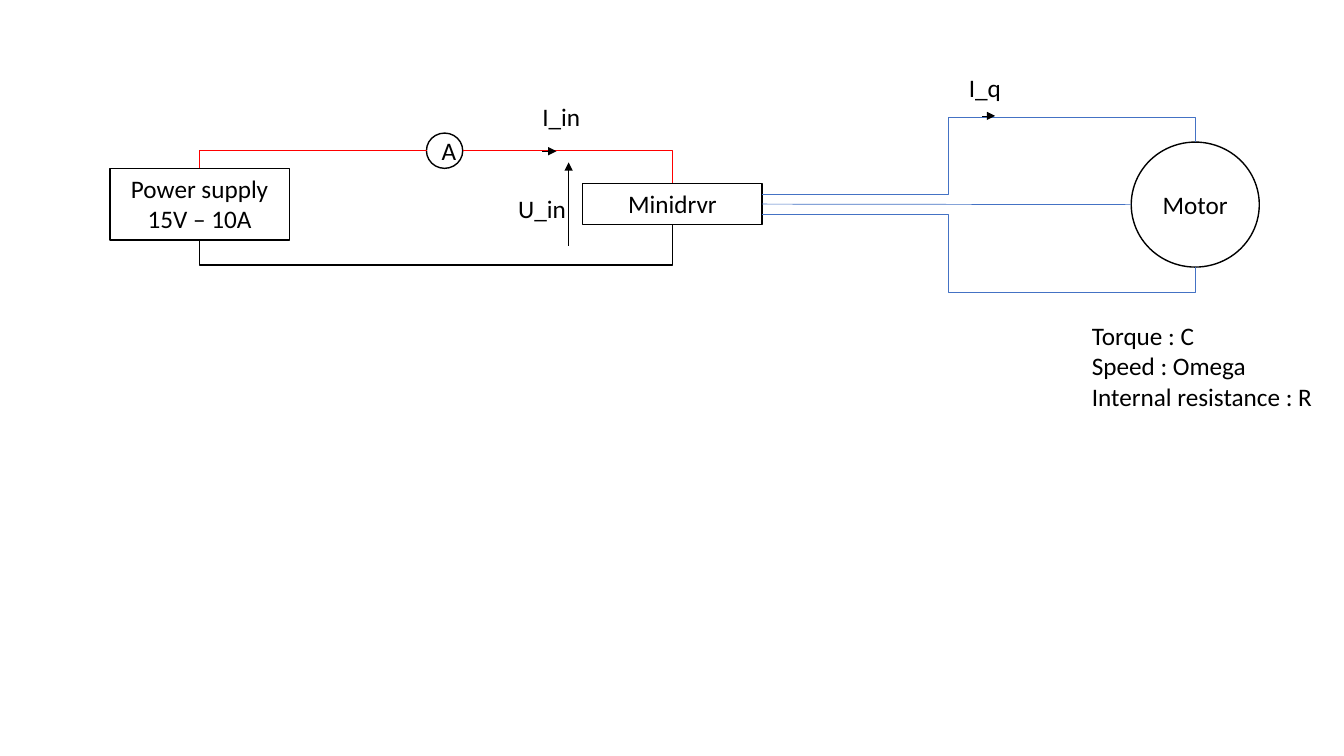
from lxml import etree
from pptx import Presentation
from pptx.dml.color import RGBColor
from pptx.enum.shapes import MSO_CONNECTOR, MSO_SHAPE
from pptx.enum.text import MSO_ANCHOR, PP_ALIGN
from pptx.oxml.ns import qn
from pptx.util import Inches, Pt

RECT, OVAL = MSO_SHAPE.RECTANGLE, MSO_SHAPE.OVAL
STRAIGHT, ELBOW = MSO_CONNECTOR.STRAIGHT, MSO_CONNECTOR.ELBOW
LEFT, CENTER = PP_ALIGN.LEFT, PP_ALIGN.CENTER
TOP, MIDDLE = MSO_ANCHOR.TOP, MSO_ANCHOR.MIDDLE
BLACK = RGBColor(0, 0, 0)
RED = RGBColor(0xFF, 0, 0)
BLUE = RGBColor(0x44, 0x72, 0xC4)

# Content: components and labels as left, top, width, height in inches
SUPPLY = (1.09, 1.67, 1.78, 0.71)
DRIVER = (5.78, 1.82, 1.78, 0.41)
MOTOR = (11.22, 1.41, 1.27, 1.24)
AMMETER = (4.23, 1.32, 0.36, 0.35)
COMPONENTS = [
    (RECT, SUPPLY, "Power supply 15V – 10A", TOP),
    (RECT, DRIVER, "Minidrvr", TOP),
    (OVAL, MOTOR, "Motor", MIDDLE),
    (OVAL, AMMETER, "A", MIDDLE),
]
LABELS = [
    ((5.28, 0.96, 0.58, 0.4), ["I_in"]),
    ((5.04, 1.87, 0.68, 0.4), ["U_in"]),
    ((9.51, 0.67, 0.52, 0.4), ["I_q"]),
    ((10.73, 3.13, 2.41, 1.01),
     ["Torque : C", "Speed : Omega", "Internal resistance : R"]),
]
ARROWS = [
    ((5.38, 1.5), (5.52, 1.5)),
    ((9.74, 1.15), (9.87, 1.15)),
    ((5.64, 2.44), (5.64, 1.61)),
]
PHASE_GAP = 0.1


def side(box, fx, fy):
    """Point at the given shares of a component's width and height."""
    x, y, w, h = box
    return x + fx * w, y + fy * h


def add_text(tf, lines, size=18, color=BLACK, align=LEFT, anchor=TOP, wrap=True):
    tf.word_wrap = wrap
    tf.vertical_anchor = anchor
    for i, line in enumerate(lines):
        p = tf.add_paragraph() if i else tf.paragraphs[0]
        p.alignment = align
        r = p.add_run()
        r.text = line
        r.font.name, r.font.size = "Calibri", Pt(size)
        r.font.color.rgb = color


def add_line(start, end, color, width, kind=STRAIGHT, arrow=False):
    c = slide.shapes.add_connector(kind, *map(Inches, start + end))
    c.line.color.rgb, c.line.width = color, Pt(width)
    sp_pr = c.element.spPr
    if arrow:
        etree.SubElement(sp_pr.find(qn("a:ln")), qn("a:tailEnd"), type="triangle")
    etree.SubElement(sp_pr, qn("a:effectLst"))
    return sp_pr


def add_wire(start, end, color, width, bends, adjust=(), turned=False):
    """Elbow wire; a turned one leaves its start vertically."""
    if turned:
        (x1, y1), (x2, y2) = start, end
        cx, cy = (x1 + x2) / 2, (y1 + y2) / 2
        dx, dy = (x1 - x2) / 2, (y1 - y2) / 2
        start, end = (cx + dy, cy - dx), (cx - dy, cy + dx)
    sp_pr = add_line(start, end, color, width, ELBOW)
    if turned:
        sp_pr.find(qn("a:xfrm")).set("rot", str(90 * 60000))
    geom = sp_pr.find(qn("a:prstGeom"))
    geom.set("prst", f"bentConnector{bends + 1}")
    for i, share in enumerate(adjust, 1):
        etree.SubElement(geom.find(qn("a:avLst")), qn("a:gd"),
                         name=f"adj{i}", fmla=f"val {round(share * 100000)}")


prs = Presentation()
prs.slide_width, prs.slide_height = Inches(13.33), Inches(7.5)
slide = prs.slides.add_slide(prs.slide_layouts[6])

# Components
for kind, box, text, anchor in COMPONENTS:
    sp = slide.shapes.add_shape(kind, *map(Inches, box))
    sp.shadow.inherit = False
    sp.fill.background()
    sp.line.color.rgb, sp.line.width = BLACK, Pt(1)
    add_text(sp.text_frame, [text], align=CENTER, anchor=anchor)

# Supply loop
add_wire(side(SUPPLY, 0.5, 0), side(AMMETER, 0, 0.5), RED, 1, 1, turned=True)
add_wire(side(AMMETER, 1, 0.5), side(DRIVER, 0.5, 0), RED, 1, 1)
add_wire(side(DRIVER, 0.5, 1), side(SUPPLY, 0.5, 1), BLACK, 1, 2, [2.65], turned=True)

# Motor phases
x, y = side(DRIVER, 1, 0.5)
for offset, share in ((-PHASE_GAP, 0), (PHASE_GAP, 1)):
    add_wire((x, y + offset), side(MOTOR, 0.5, share), BLUE, 0.5, 3, [0.43, 1.48])
add_line((x, y), side(MOTOR, 0, 0.5), BLUE, 0.5)

# Current and voltage arrows
for start, end in ARROWS:
    add_line(start, end, BLACK, 0.5, arrow=True)

# Labels
for box, lines in LABELS:
    tb = slide.shapes.add_textbox(*map(Inches, box))
    add_text(tb.text_frame, lines, wrap=False)

prs.save("out.pptx")
